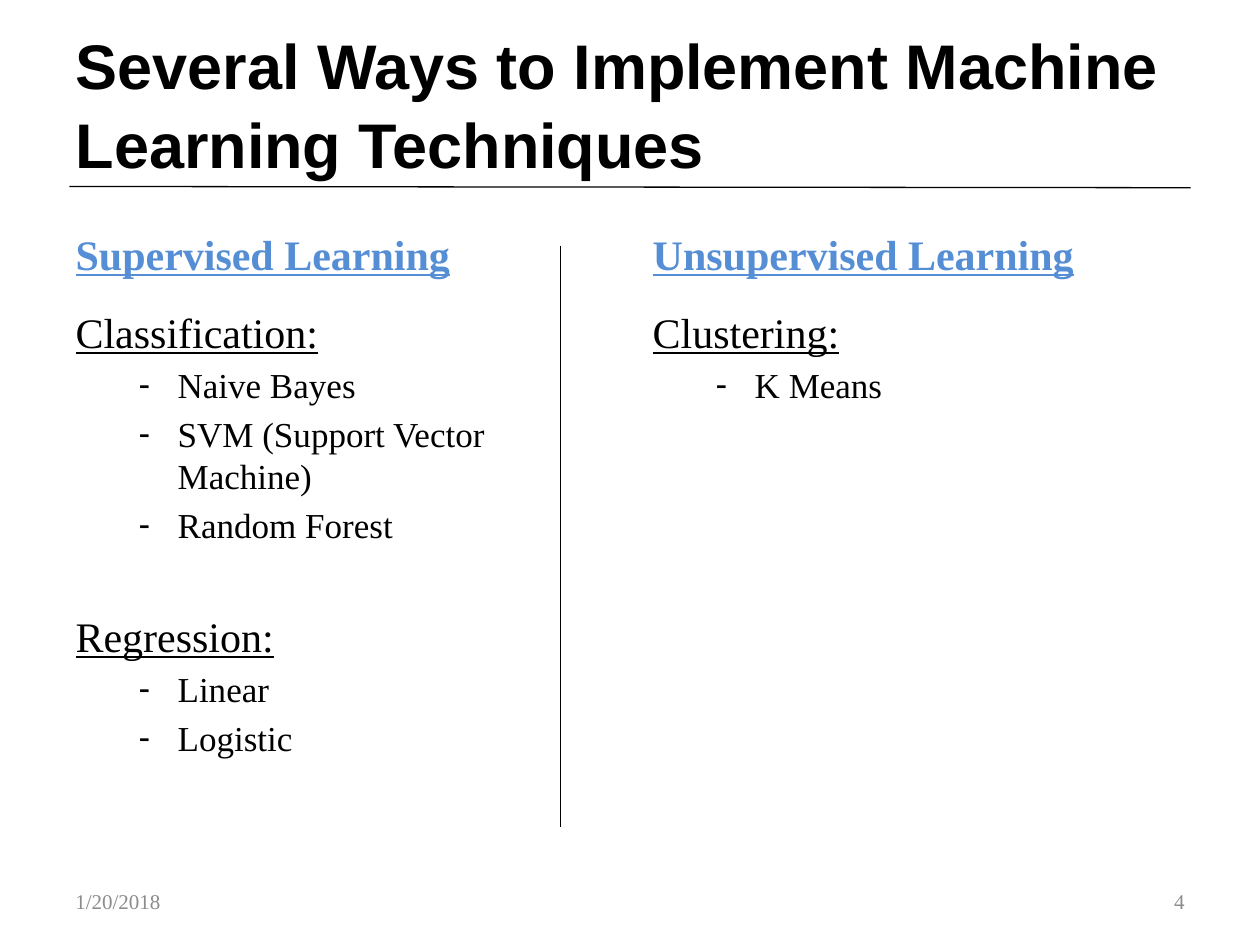
from pptx import Presentation
from pptx.dml.color import RGBColor
from pptx.enum.shapes import MSO_CONNECTOR
from pptx.enum.text import MSO_ANCHOR, PP_ALIGN
from pptx.oxml.ns import qn
from pptx.util import Inches, Pt

BLACK = RGBColor(0x00, 0x00, 0x00)
BLUE = RGBColor(0x55, 0x8E, 0xD5)
GRAY = RGBColor(0x8C, 0x8C, 0x8C)
SERIF, SANS = "Times New Roman", "Arial"
STRAIGHT = MSO_CONNECTOR.STRAIGHT
MIDDLE, BOTTOM = MSO_ANCHOR.MIDDLE, MSO_ANCHOR.BOTTOM
LEFT, RIGHT = PP_ALIGN.LEFT, PP_ALIGN.RIGHT


def place(sp, x, y, w, h):
    sp.left, sp.top, sp.width, sp.height = map(Inches, (x, y, w, h))


def write(p, text, size, color=BLACK, name=SERIF, bold=False, underline=False):
    p.text = text
    for r in p.runs:
        f = r.font
        f.size, f.name, f.bold, f.underline = Pt(size), name, bold, underline
        f.color.rgb = color


def set_bullet(p, left, hanging, char=None):
    pPr = p._p.get_or_add_pPr()
    pPr.set("marL", str(Inches(left)))
    pPr.set("indent", str(-Inches(hanging)))
    if char:
        pPr.makeelement(qn("a:buChar"), {"char": char})
        pPr.append(pPr.makeelement(qn("a:buChar"), {"char": char}))
    else:
        pPr.append(pPr.makeelement(qn("a:buNone"), {}))


def add_title(sp, text, x, y, w, h):
    place(sp, x, y, w, h)
    tf = sp.text_frame
    tf.vertical_anchor = MIDDLE
    tf.margin_bottom = Inches(0.28)
    p = tf.paragraphs[0]
    write(p, text, 36, name=SANS, bold=True)
    p.alignment = LEFT
    p.line_spacing = 1.05


def add_column(heading, body, title, groups, x, y, w):
    # Heading
    place(heading, x, y, w, 0.7)
    heading.text_frame.vertical_anchor = BOTTOM
    write(heading.text_frame.paragraphs[0], title, 24, BLUE, bold=True, underline=True)

    # Groups of techniques
    place(body, x, y + 0.82, w, 4.32)
    tf = body.text_frame
    for i, (group, items) in enumerate(groups):
        p = tf.add_paragraph() if i else tf.paragraphs[0]
        write(p, group, 24, underline=True)
        set_bullet(p, 0.38, 0.38)
        if i:
            p.space_before = Pt(37)
        for item in items:
            p = tf.add_paragraph()
            p.level = 1
            write(p, item, 20)
            set_bullet(p, 0.81, 0.31, "-")


def add_rule(s, x1, y1, x2, y2):
    line = s.shapes.add_connector(STRAIGHT, *map(Inches, (x1, y1, x2, y2)))
    line.line.color.rgb = BLACK
    line.line.width = Pt(0.75)
    spPr = line._element.spPr
    spPr.append(spPr.makeelement(qn("a:effectLst"), {}))


def add_footer(s, text, x, align):
    tf = s.shapes.add_textbox(*map(Inches, (x, 6.95, 2.33, 0.4))).text_frame
    tf.word_wrap = True
    tf.vertical_anchor = MIDDLE
    write(tf.paragraphs[0], text, 12, GRAY)
    tf.paragraphs[0].alignment = align


prs = Presentation()
prs.slide_width, prs.slide_height = Inches(10), Inches(7.5)
s = prs.slides.add_slide(prs.slide_layouts.get_by_name("Comparison"))
title, *parts = s.placeholders

add_title(title, "Several Ways to Implement Machine Learning Techniques", 0.5, 0.3, 9, 1.25)

# Two columns
COLUMNS = [
    ("Supervised Learning", [
        ("Classification:", ["Naive Bayes", "SVM (Support Vector Machine)", "Random Forest"]),
        ("Regression:", ["Linear", "Logistic"]),
    ]),
    ("Unsupervised Learning", [("Clustering:", ["K Means"])]),
]
for i, (heading, groups) in enumerate(COLUMNS):
    add_column(parts[2 * i], parts[2 * i + 1], heading, groups, 0.5 + 4.58 * i, 1.56, 4.42)

# Rules under the title and between the columns
add_rule(s, 0.55, 1.48, 9.45, 1.49)
add_rule(s, 4.45, 1.95, 4.45, 6.56)

# Date and slide number
add_footer(s, "1/20/2018", 0.5, LEFT)
add_footer(s, "4", 7.17, RIGHT)

prs.save("out.pptx")
